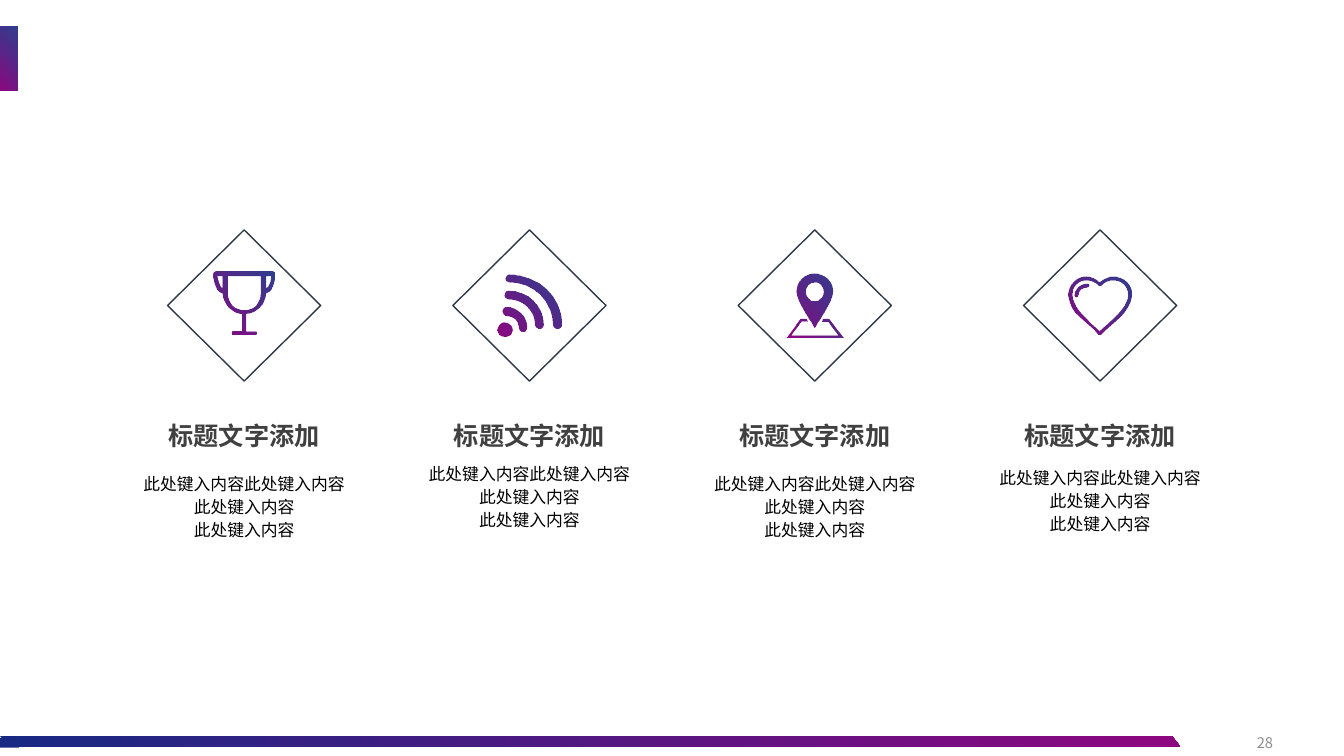
from lxml import etree
from pptx import Presentation
from pptx.dml.color import RGBColor as Rgb
from pptx.enum.shapes import MSO_SHAPE as Preset
from pptx.enum.text import MSO_ANCHOR as Anchor, MSO_AUTO_SIZE as AutoSize, PP_ALIGN as Align
from pptx.oxml.ns import qn
from pptx.util import Pt

HEADING = "标题文字添加"
BODY = ["此处键入内容此处键入内容", "此处键入内容", "此处键入内容"]
PAGE_NUMBER = "28"

TROPHY = [
    "M 60 3 C 60 1 60 0 58 0 L 2 0 C 0 0 0 1 0 3 C 0 3 0 20 9 22 C 10 33 18 41 28 42 "
    "L 28 59 L 20 59 C 19 59 18 59 18 60 L 18 62 C 18 63 19 63 20 63 L 40 63 "
    "C 41 63 42 63 42 62 L 42 60 C 42 59 41 59 40 59 L 32 59 L 32 42 "
    "C 42 41 50 33 51 22 C 60 20 60 3 60 3",
    "M 30 38 C 21 38 14 31 14 22 L 14 5 L 46 5 L 46 22 C 46 31 39 38 30 38",
    "M 9 17 C 6 15 5 8 4 5 L 9 5 L 9 17",
    "M 51 17 L 51 5 L 56 5 C 56 8 55 15 51 17",
]
SIGNAL = [
    "M 7 47 C 12 47 15 51 15 55 C 15 59 12 62 7 62 C 3 62 0 59 0 55 C 0 51 3 47 7 47",
    "M 9 32 C 20 32 29 41 29 52 C 29 55 28 57 25 57 C 23 57 21 55 21 52 "
    "C 21 46 16 41 9 41 C 7 41 5 39 5 36 C 5 34 7 32 9 32",
    "M 11 16 C 30 16 45 31 45 50 C 45 52 43 54 41 54 C 39 54 37 52 37 50 "
    "C 37 36 25 25 11 25 C 9 25 7 23 7 21 C 7 18 9 16 11 16",
    "M 12 0 C 40 0 63 22 63 50 C 63 52 61 54 58 54 C 56 54 54 52 54 50 "
    "C 54 27 35 8 12 8 C 10 8 8 7 8 4 C 8 2 10 0 12 0",
]
MAP_PIN = [
    "M 14 44 L 20 44 C 20 45 21 46 21 47 L 15 47 L 5 60 L 51 60 L 41 47 L 35 47 "
    "C 35 46 36 45 36 44 L 42 44 L 57 63 L 0 63",
    "M 28 9 C 23 9 19 13 19 18 C 19 23 23 27 28 27 C 33 27 37 23 37 18 C 37 13 33 9 28 9",
    "M 28 0 C 38 0 46 8 46 18 C 46 27 28 53 28 53 C 28 53 10 27 10 18 C 10 8 18 0 28 0",
]
HEART = [
    "M 19 7 C 20 7 21 8 21 9 C 21 10 20 11 19 11 C 14 11 10 14 10 19 "
    "C 10 20 9 21 8 21 C 7 21 6 20 6 19 C 6 12 12 7 19 7",
    "M 18 4 C 10 4 4 10 4 18 C 4 28 12 37 28 51 L 31 54 L 34 51 C 50 37 59 28 59 18 "
    "C 59 10 52 4 44 4 C 40 4 35 6 33 9 C 32 10 30 10 30 9 C 27 6 22 4 18 4",
    "M 18 0 C 23 0 28 2 31 6 C 35 2 40 0 44 0 C 55 0 63 8 63 18 C 63 24 60 29 55 36 "
    "C 51 41 45 46 37 53 L 32 58 C 31 58 30 58 30 58 L 26 53 C 18 46 12 41 7 36 "
    "C 2 29 0 24 0 18 C 0 8 8 0 18 0",
]
COLUMNS = [
    {"icon": TROPHY, "icon_width": 60, "icon_top": 193.7, "body_top": 332.6},
    {"icon": SIGNAL, "icon_width": 63, "icon_top": 196, "body_top": 325.8},
    {"icon": MAP_PIN, "icon_width": 57, "icon_top": 195.6, "body_top": 332.6},
    {"icon": HEART, "icon_width": 63, "icon_top": 197.3, "body_top": 328.3},
]

THEME = {
    "font": "Noto Sans CJK SC",
    "blue": Rgb.from_string("182983"),
    "purple": Rgb.from_string("8D0780"),
    "bar_end": Rgb.from_string("1A2983"),
    "outline": Rgb.from_string("2D3848"),
    "heading": {"size": Pt(18), "bold": True, "color": Rgb.from_string("404040")},
    "body": {"size": Pt(12), "bold": False, "color": Rgb.from_string("000000")},
    "page": {"size": Pt(10.5), "bold": False, "color": Rgb.from_string("8C8C8C")},
}
FIRST_CENTER, PITCH = 174.4, 203.8
ICON_UNIT = 0.72


def paint_gradient(shape, angle, opacity=100):
    shape.shadow.inherit = False
    shape.line.fill.background()
    shape.fill.gradient()
    shape.fill.gradient_angle = angle
    first, last = shape.fill.gradient_stops
    for stop, color, position in ((first, THEME["blue"], 0), (last, THEME["purple"], 1)):
        stop.color.rgb = color
        stop.position = position
    if opacity < 100:
        color_element = next(shape.element.spPr.iter(qn("a:srgbClr")))
        etree.SubElement(color_element, qn("a:alpha"), val=str(opacity * 1000))


def add_shape(shapes, preset, left, top, width, height):
    shape = shapes.add_shape(preset, Pt(left), Pt(top), Pt(width), Pt(height))
    shape.shadow.inherit = False
    return shape


def add_text(slide, lines, box, style, alignment, spacing=1.0, anchor=Anchor.TOP,
             auto_size=AutoSize.SHAPE_TO_FIT_TEXT):
    frame = slide.shapes.add_textbox(*map(Pt, box)).text_frame
    settings = {"word_wrap": True, "vertical_anchor": anchor, "auto_size": auto_size}
    for name, value in settings.items():
        setattr(frame, name, value)
    frame.text = "\n".join(lines)
    for paragraph in frame.paragraphs:
        paragraph.alignment = alignment
        paragraph.line_spacing = spacing
        font = paragraph.runs[0].font
        for name, value in {"name": THEME["font"], "size": style["size"], "bold": style["bold"]}.items():
            setattr(font, name, value)
        font.color.rgb = style["color"]
        latin = font._element.find(qn("a:latin"))
        latin.addnext(etree.Element(qn("a:ea"), typeface=THEME["font"]))


def read_segments(contour):
    segments = []
    for part in contour.replace("L", "|").replace("C", "|").replace("M", "").split("|"):
        numbers = [int(number) for number in part.split()]
        segments.append(list(zip(numbers[::2], numbers[1::2])))
    return segments


def bend(line, points):
    line.tag = qn("a:cubicBezTo")
    for child in list(line):
        line.remove(child)
    for x, y in points:
        etree.SubElement(line, qn("a:pt"), x=str(x), y=str(y))


def add_icon(slide, contours, left, top):
    outlines = [read_segments(contour) for contour in contours]
    builder = slide.shapes.build_freeform(*outlines[0][0][0], scale=Pt(ICON_UNIT))
    for index, segments in enumerate(outlines):
        if index:
            builder.move_to(*segments[0][0])
        builder.add_line_segments([points[-1] for points in segments[1:]], close=True)
    icon = builder.convert_to_shape(Pt(left), Pt(top))
    lines = list(icon.element.spPr.iter(qn("a:lnTo")))
    drawn = [points for segments in outlines for points in segments[1:]]
    for line, points in zip(lines, drawn):
        if len(points) == 3:
            bend(line, points)
    paint_gradient(icon, 225, 90)


def add_frame(slide):
    paint_gradient(add_shape(slide.shapes, Preset.RECTANGLE, 0, 19.1, 12.8, 45.6), 225, 90)
    add_text(slide, [PAGE_NUMBER], (700.4, 515.9, 216, 28.8), THEME["page"], Align.RIGHT,
             anchor=Anchor.MIDDLE, auto_size=AutoSize.NONE)
    footer = slide.shapes.add_group_shape().shapes
    bar = add_shape(footer, Preset.PARALLELOGRAM, 0, 525.6, 843.1, 7.9)
    bar.adjustments[0] = 0.775
    bar.element.spPr.xfrm.set("flipH", "1")
    paint_gradient(bar, 180)
    bar_end = add_shape(footer, Preset.RECTANGLE, 0, 527, 13.5, 7)
    bar_end.fill.solid()
    bar_end.fill.fore_color.rgb = THEME["bar_end"]
    bar_end.line.fill.background()


def add_diamond_icon(slide, column, center):
    diamond = add_shape(slide.shapes, Preset.DIAMOND, center - 54, 163.5, 108, 109.4)
    diamond.rotation = 270
    diamond.fill.background()
    diamond.line.color.rgb = THEME["outline"]
    diamond.line.width = Pt(1)
    icon_left = center - column["icon_width"] * ICON_UNIT / 2
    add_icon(slide, column["icon"], icon_left, column["icon_top"])


def main():
    presentation = Presentation()
    presentation.slide_width, presentation.slide_height = Pt(960), Pt(540)
    slide = presentation.slides.add_slide(presentation.slide_layouts[6])
    add_frame(slide)
    placed = [(column, FIRST_CENTER + index * PITCH) for index, column in enumerate(COLUMNS)]
    for column, center in placed:
        add_diamond_icon(slide, column, center)
    for column, center in placed:
        add_text(slide, [HEADING], (center - 81.7, 292.3, 163.4, 31), THEME["heading"],
                 Align.CENTER, 1.2)
    for column, center in placed:
        add_text(slide, BODY, (center - 94.3, column["body_top"], 188.6, 73.4), THEME["body"],
                 Align.CENTER, 1.14)
    presentation.save("out.pptx")


if __name__ == "__main__":
    main()
